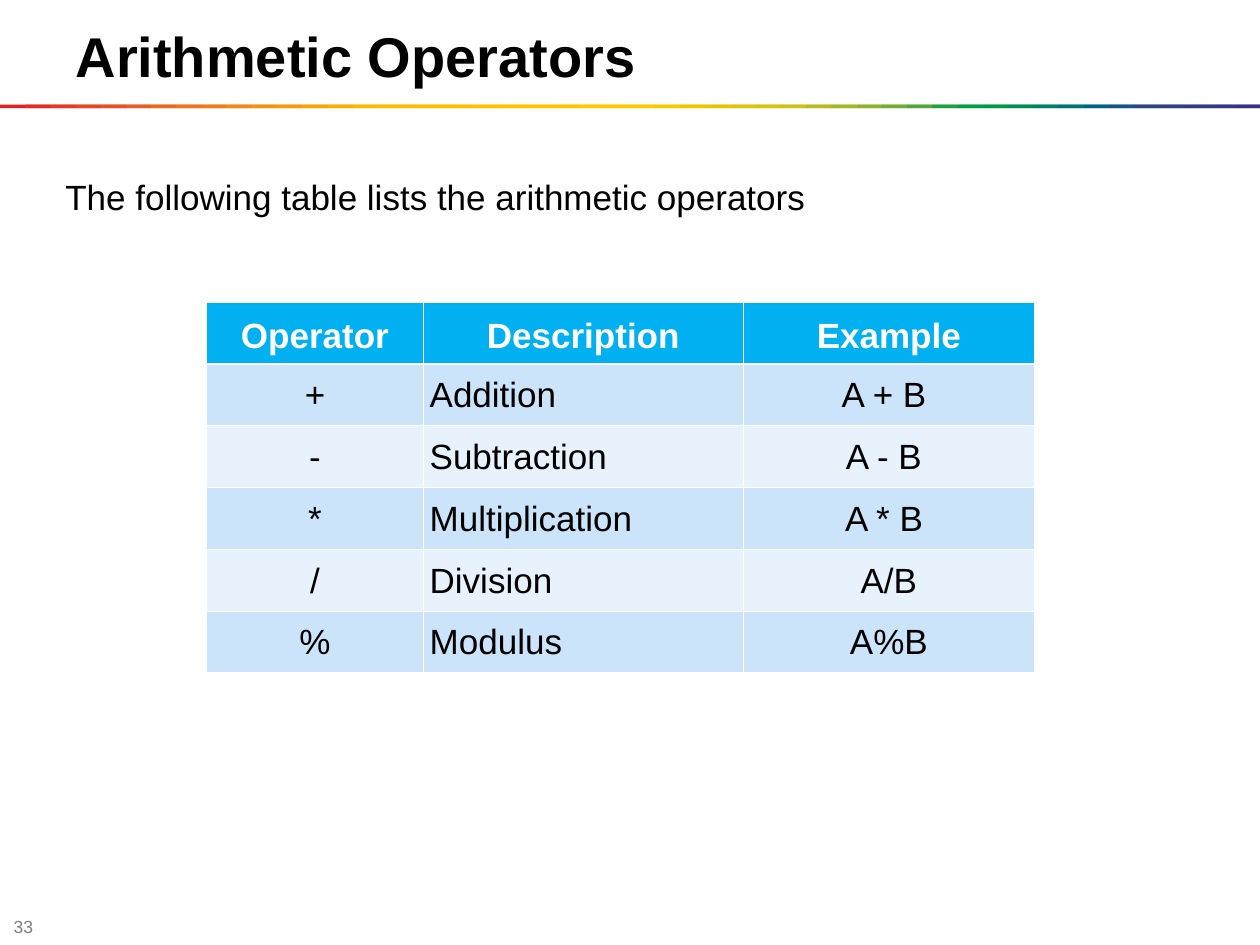
"""Build a slide with a table of the arithmetic operators."""
from lxml.etree import SubElement
from pptx import Presentation
from pptx.dml.color import RGBColor
from pptx.enum.shapes import MSO_SHAPE
from pptx.enum.text import MSO_ANCHOR as ANCHOR, MSO_AUTO_SIZE, PP_ALIGN as ALIGN
from pptx.oxml.ns import qn
from pptx.util import Inches, Pt

TITLE = "Arithmetic Operators"
INTRO = "The following table lists the arithmetic operators"
PAGE = "33"
ROWS = [
    ("Operator", "Description", "Example"),
    ("+", "Addition", "A + B "),
    ("-", "Subtraction", "A - B "),
    ("*", "Multiplication", "A * B "),
    ("/", "Division", "A/B"),
    ("%", "Modulus", "A%B"),
]
COL_WIDTHS = (1.72, 2.54, 2.31)
COL_ALIGNS = (ALIGN.CENTER, ALIGN.LEFT, ALIGN.CENTER)
ROW_HEIGHT = 0.49
WIDTH, HEIGHT = 10, 7.5

BLACK = RGBColor(0x00, 0x00, 0x00)
WHITE = RGBColor(0xFF, 0xFF, 0xFF)
GRAY = RGBColor(0x7F, 0x7F, 0x7F)
HEADER = RGBColor(0x00, 0xB0, 0xF0)
STRIPES = (RGBColor(0xE7, 0xF2, 0xFC), RGBColor(0xCB, 0xE4, 0xF9))
RAINBOW = [RGBColor.from_string(c) for c in """
    E31E24 E42C24 E53A24 E74623 E85122 EA5D21 EC691F EE741D EF7E1A F18817
    F39314 F49C0F F6A607 F8B002 FBBA00 FBBB00 FBBD00 FCBF00 FCC000 FCC200
    FDC400 FDC600 FDC700 FEC900 FECB00 FBCB00 F3CA00 ECC800 E4C602 DCC50A
    D5C30E CCC117 B8BC21 A3B829 8CB230 71AD36 51A73B 1DA240 009D43 009846
    008C57 008068 007275 00637F 185384 2E4285 313E85 333B85 353885 393185
""".split()]


def write(tf, text, size, color, bold=False, align=ALIGN.LEFT, spacing=None):
    p = tf.paragraphs[0]
    p.alignment, p.line_spacing = align, spacing
    r = p.add_run()
    r.text = text
    for name, value in {"name": "Arial", "size": Pt(size), "bold": bold}.items():
        setattr(r.font, name, value)
    r.font.color.rgb = color


def add_text(s, box, text, size, color, anchor=ANCHOR.TOP):
    tf = s.shapes.add_textbox(*map(Inches, box)).text_frame
    tf.word_wrap, tf.vertical_anchor = True, anchor
    write(tf, text, size, color)


def add_rainbow(s):
    step = WIDTH / len(RAINBOW)
    group = s.shapes.add_group_shape()
    for i, color in enumerate(RAINBOW):
        left = i * step
        band = group.shapes.add_shape(
            MSO_SHAPE.RECTANGLE, Inches(left), Inches(0.83),
            Inches(min(2 * step, WIDTH - left)), Inches(0.03))
        band.shadow.inherit = False
        band.fill.solid()
        band.fill.fore_color.rgb = color
        band.line.fill.background()


def add_borders(cell, widths):
    tc_pr = cell._tc.get_or_add_tcPr()
    for side, width in widths.items():
        ln = SubElement(tc_pr, qn(f"a:ln{side}"), w=str(Pt(width)))
        fill = SubElement(ln, qn("a:solidFill"))
        SubElement(fill, qn("a:srgbClr"), val=str(WHITE))


def add_operator_table(s):
    table = s.shapes.add_table(
        len(ROWS), len(COL_WIDTHS), Inches(1.64), Inches(2.4),
        Inches(sum(COL_WIDTHS)), Inches(ROW_HEIGHT * len(ROWS))).table
    for col, width in zip(table.columns, COL_WIDTHS):
        col.width = Inches(width)
    for i, row in enumerate(ROWS):
        head = i == 0
        table.rows[i].height = Inches(ROW_HEIGHT)
        for j, text in enumerate(row):
            cell = table.cell(i, j)
            for side in ("left", "right", "top", "bottom"):
                setattr(cell, f"margin_{side}", Inches(0.05))
            cell.vertical_anchor = ANCHOR.MIDDLE if head else ANCHOR.TOP
            add_borders(cell, {"L": 0.45, "R": 0.45, "T": 1.47 if i == 1 else 0.45,
                               "B": 1.47 if head else 0.45})
            cell.fill.solid()
            cell.fill.fore_color.rgb = HEADER if head else STRIPES[i % 2]
            write(cell.text_frame, text, 20, WHITE if head else BLACK, head,
                  ALIGN.CENTER if head else COL_ALIGNS[j], 1.15)


def main():
    prs = Presentation()
    prs.slide_width, prs.slide_height = Inches(WIDTH), Inches(HEIGHT)
    s = prs.slides.add_slide(prs.slide_layouts[5])
    add_text(s, (0.01, 7.27, 0.39, 0.16), PAGE, 10, GRAY, ANCHOR.MIDDLE)
    add_rainbow(s)
    title = s.shapes.title
    title.left, title.top, title.width, title.height = map(Inches, (0.5, 0.12, 9, 0.64))
    title.text_frame.auto_size = MSO_AUTO_SIZE.SHAPE_TO_FIT_TEXT
    title.text_frame.vertical_anchor = ANCHOR.TOP
    write(title.text_frame, TITLE, 32, BLACK, bold=True)
    add_operator_table(s)
    add_text(s, (0.42, 1.34, 9, 0.44), INTRO, 20, BLACK)
    prs.save("out.pptx")


if __name__ == "__main__":
    main()
